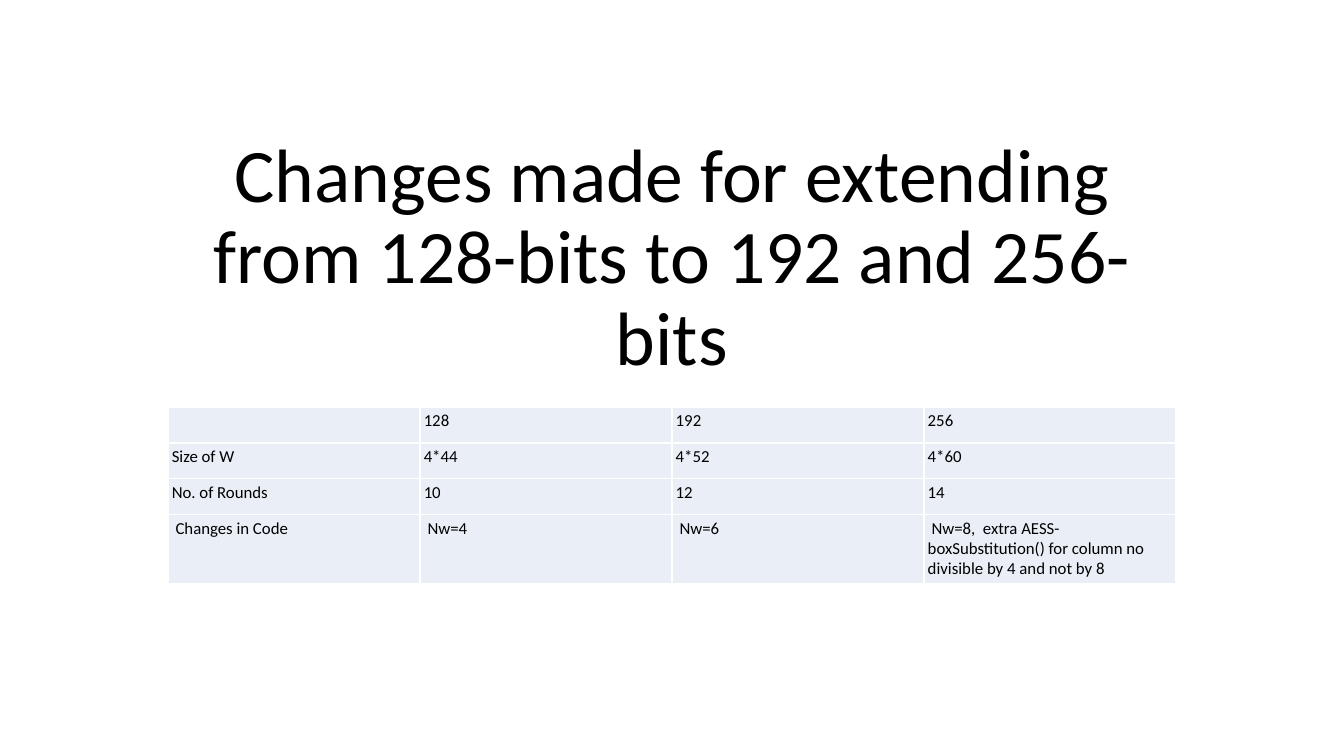
from lxml.etree import SubElement
from pptx import Presentation
from pptx.dml.color import RGBColor
from pptx.enum.text import MSO_ANCHOR as Anchor, MSO_AUTO_SIZE as AutoSize, PP_ALIGN as Align
from pptx.oxml.ns import qn
from pptx.util import Pt

BLACK = RGBColor(0x00, 0x00, 0x00)
WHITE = RGBColor(0xFF, 0xFF, 0xFF)
PALE_BLUE = RGBColor(0xEA, 0xEF, 0xF7)

KEY_SIZES = [
    ["", "128", "192", "256"],
    ["Size of W", "4*44", "4*52", "4*60"],
    ["No. of Rounds", "10", "12", "14"],
    [
        " Changes in Code",
        " Nw=4",
        " Nw=6",
        " Nw=8,  extra AESS-boxSubstitution() for column no divisible by 4 and not by 8",
    ],
]


class SlideBuilder:
    font = "Calibri"
    title_size = 54
    cell_size = 12
    cell_margin = 2.7

    def __init__(self, deck):
        self.page = deck.slides.add_slide(deck.slide_layouts[5])

    def add_span(self, para, text, size):
        span = para.add_run()
        span.text = text
        span.font.name = self.font
        span.font.size = Pt(size)
        span.font.bold = False
        span.font.color.rgb = BLACK

    def title(self, text, left, top, width, height):
        box = self.page.shapes.title
        box.left, box.top, box.width, box.height = map(Pt, (left, top, width, height))
        frame = box.text_frame
        frame.word_wrap = True
        frame.auto_size = AutoSize.NONE
        frame.vertical_anchor = Anchor.BOTTOM
        para = frame.paragraphs[0]
        para.alignment = Align.CENTER
        para.line_spacing = 0.9
        self.add_span(para, text, self.title_size)

    def border(self, cell, color, width):
        properties = cell._tc.get_or_add_tcPr()
        for side in ("a:lnL", "a:lnR", "a:lnT", "a:lnB"):
            line = SubElement(properties, qn(side), w=str(Pt(width)))
            fill = SubElement(line, qn("a:solidFill"))
            SubElement(fill, qn("a:srgbClr"), val=str(color))

    def cell(self, cell, text):
        self.border(cell, WHITE, 1)
        cell.fill.solid()
        cell.fill.fore_color.rgb = PALE_BLUE
        margin = Pt(self.cell_margin)
        cell.margin_left = cell.margin_right = margin
        cell.margin_top = cell.margin_bottom = margin
        cell.vertical_anchor = Anchor.TOP
        self.add_span(cell.text_frame.paragraphs[0], text, self.cell_size)

    def table(self, rows, left, top, width, row_heights):
        frame = self.page.shapes.add_table(
            len(rows), len(rows[0]), Pt(left), Pt(top), Pt(width), Pt(sum(row_heights))
        )
        grid = frame.table
        grid.first_row = False
        grid.horz_banding = False
        for row, height in zip(grid.rows, row_heights):
            row.height = Pt(height)
        for row_index, texts in enumerate(rows):
            for column_index, text in enumerate(texts):
                self.cell(grid.cell(row_index, column_index), text)


def main():
    deck = Presentation()
    deck.slide_width, deck.slide_height = Pt(960), Pt(540)
    builder = SlideBuilder(deck)
    builder.title(
        "Changes made for extending from 128-bits to 192 and 256-bits",
        120, 88.4, 720, 188,
    )
    builder.table(KEY_SIZES, 120, 290.8, 720, [25.5, 25.5, 25.5, 49])
    deck.save("out.pptx")


if __name__ == "__main__":
    main()
